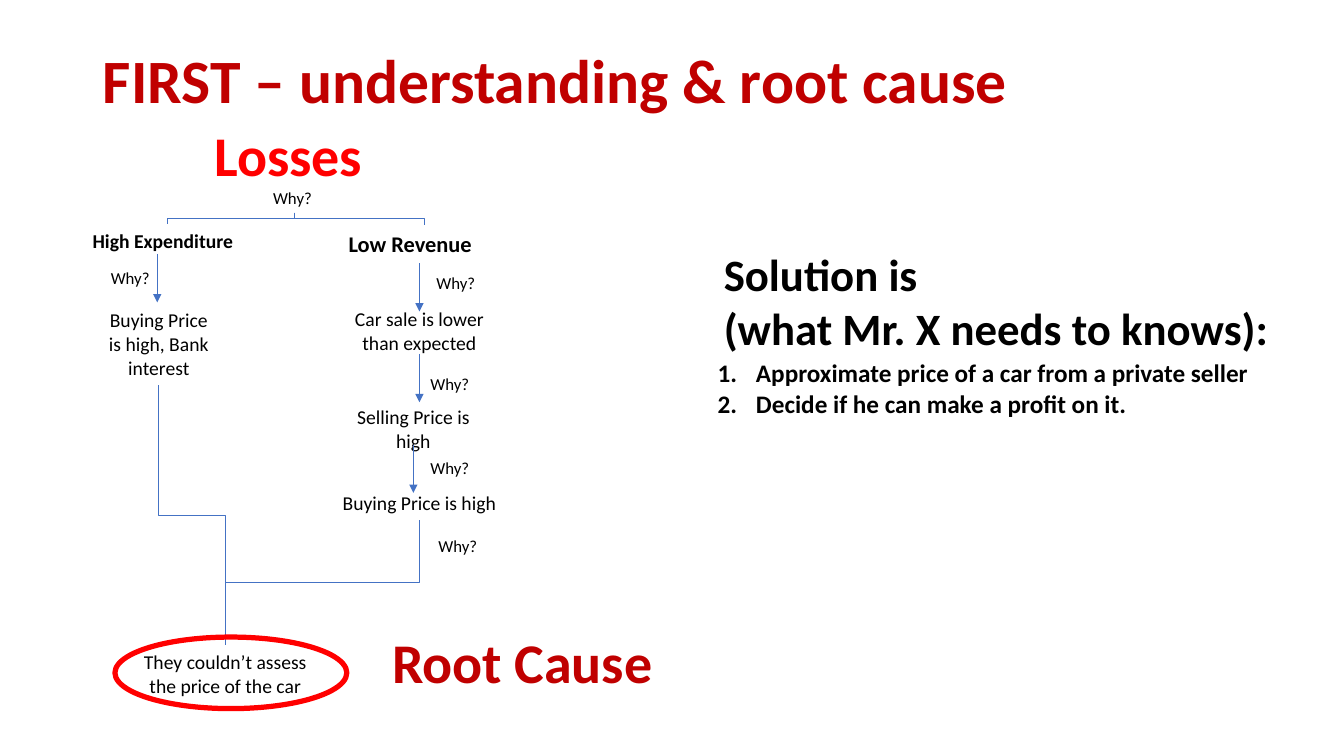
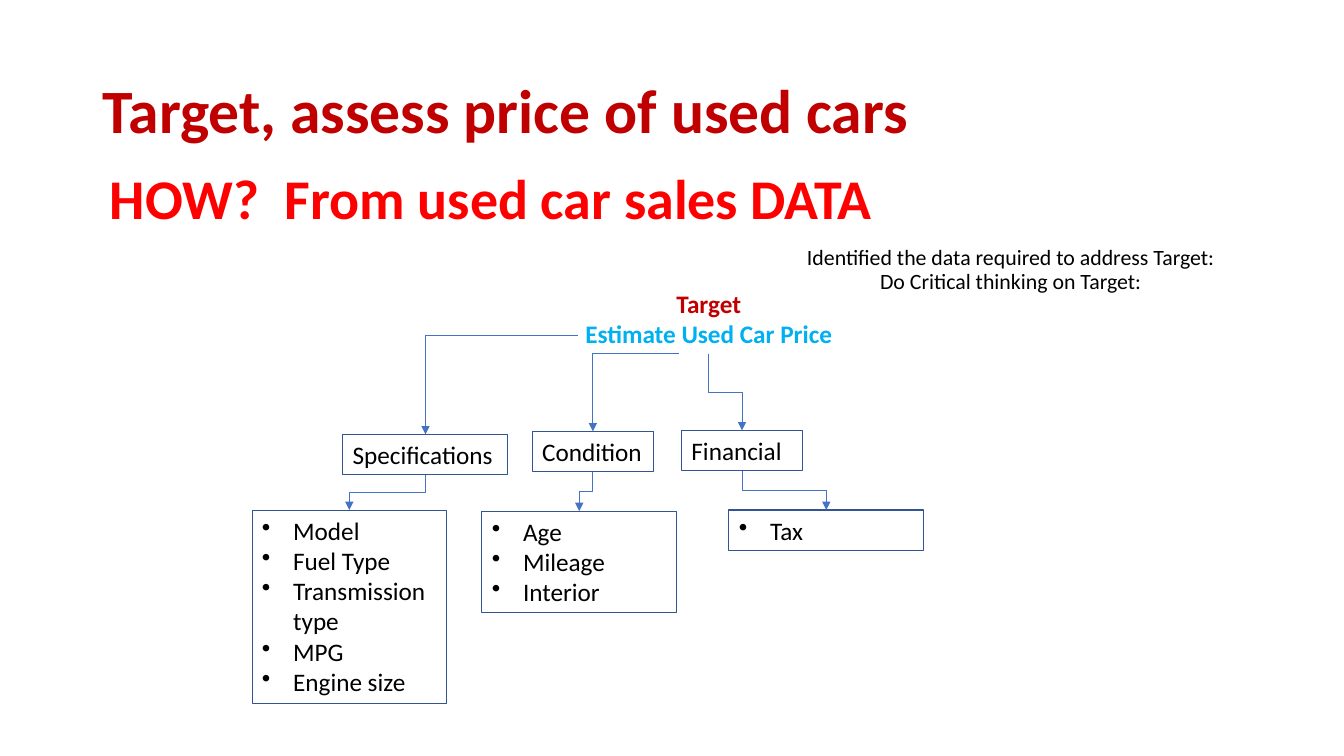
from dataclasses import dataclass
from typing import Optional

from lxml.etree import SubElement
from pptx import Presentation
from pptx.dml.color import RGBColor
from pptx.enum.shapes import MSO_CONNECTOR, MSO_SHAPE
from pptx.enum.text import MSO_ANCHOR, MSO_AUTO_SIZE, PP_ALIGN
from pptx.oxml.ns import qn
from pptx.util import Inches, Pt

FONT = "Calibri"
BLACK = RGBColor(0x00, 0x00, 0x00)
DARK_RED = RGBColor(0xC0, 0x00, 0x00)
RED = RGBColor(0xFF, 0x00, 0x00)
SKY = RGBColor(0x00, 0xB0, 0xF0)
BLUE = RGBColor(0x44, 0x72, 0xC4)
BORDER = RGBColor(0x32, 0x54, 0x91)

BULLET = ("a:buChar", "char", "•")
NUMBER = ("a:buAutoNum", "type", "arabicPeriod")
LEFT, CENTER = PP_ALIGN.LEFT, PP_ALIGN.CENTER


@dataclass(frozen=True)
class Label:
    lines: tuple[str, ...]
    left: float
    top: float
    width: float
    height: float
    size: float = 14
    bold: bool = False
    color: RGBColor = BLACK
    align: PP_ALIGN = CENTER
    marker: Optional[tuple[str, str, str]] = None
    indent: float = 0
    spacing: float = 1
    anchor: MSO_ANCHOR = MSO_ANCHOR.TOP


@dataclass(frozen=True)
class Branch:
    """A heading box with its list box below."""
    name: str
    left: float
    top: float
    width: float
    items: tuple[str, ...]
    items_left: float
    items_top: float
    items_height: float


TITLE_LEFT, TITLE_TOP, TITLE_WIDTH = 0.92, 0.4, 11.5
HEADING_HEIGHT, ITEMS_WIDTH = 0.4, 1.93

WHY_SPOTS = [(2.61, 1.81), (1, 2.61), (4.23, 2.66), (4.17, 3.66), (4.17, 4.49), (4.25, 5.27)]
CAUSE_LABELS = [
    Label(("Losses",), 1.16, 1.15, 3.4, 0.77, 40, True, RED),
    Label(("High Expenditure",), 0.82, 2.22, 1.69, 0.34, 14, True, align=LEFT),
    Label(("Low Revenue",), 3.36, 2.23, 1.7, 0.37, 16, True, align=LEFT),
    Label(("Buying Price is high, Bank interest",), 0.95, 3.01, 1.25, 0.81),
    Label(("Car sale is lower than expected",), 3.34, 3, 1.64, 0.57),
    Label(("Selling Price is high",), 3.28, 3.97, 1.64, 0.57),
    Label(("Buying Price is high",), 3.09, 4.82, 2.14, 0.34),
    Label(("They couldn’t assess the price of the car",), 1.27, 6.4, 1.93, 0.57),
    Label(("Root Cause",), 3.72, 6.18, 2.92, 0.77, 40, True, DARK_RED),
    Label(("Solution is", "(what Mr. X needs to knows):"),
          7.08, 2.4, 5.65, 1.18, 32, True, align=LEFT),
    Label(("Approximate price of a car from a private seller",
           "Decide if he can make a profit on it."),
          7.02, 3.5, 5.87, 0.71, 18, True, align=LEFT, marker=NUMBER, indent=0.38),
]
ARROW_LENGTH = 0.48
ARROW_STARTS = [(1.56, 2.52), (4.16, 2.61), (4.16, 3.51), (4.1, 4.41)]
CAUSE_ELBOWS = [
    (2.92, 2.11, 1.66, 2.22),
    (2.92, 2.11, 4.21, 2.23),
    (1.57, 3.82, 2.24, 6.4),
    (4.16, 5.16, 2.24, 6.4),
]

TARGET_LABELS = [
    Label(("HOW?  From used car sales DATA",), 0.99, 1.57, 10.38, 0.77, 40, True, RED, LEFT),
    Label(("Identified the data required to address Target:", "Do Critical thinking on Target:"),
          7.77, 2.04, 4.51, 1.29, 15.6, spacing=0.9, anchor=MSO_ANCHOR.MIDDLE),
    Label(("Target",), 5.41, 2.81, 3.24, 0.4, 18, True, DARK_RED),
    Label(("Estimate Used Car Price",), 5.41, 3.11, 3.24, 0.4, 18, True, SKY),
]
BRANCHES = [
    Branch("Specifications", 3.4, 4.31, 1.63,
           ("Model", "Fuel Type", "Transmission type", "MPG", "Engine size"), 2.5, 5.06, 1.92),
    Branch("Condition", 5.28, 4.28, 1.2, ("Age", "Mileage", "Interior"), 4.78, 5.07, 1.01),
    Branch("Financial", 6.76, 4.27, 1.2, ("Tax",), 7.23, 5.06, 0.4),
]


def add_span(para, text: str, size: float, bold: bool, color: RGBColor) -> None:
    span = para.add_run()
    span.text = text
    span.font.name = FONT
    span.font.size = Pt(size)
    span.font.bold = bold
    span.font.color.rgb = color


def add_page(deck, title: str, height: float):
    page = deck.slides.add_slide(deck.slide_layouts[5])
    box = page.shapes.title
    box.left, box.top = Inches(TITLE_LEFT), Inches(TITLE_TOP)
    box.width, box.height = Inches(TITLE_WIDTH), Inches(height)
    frame = box.text_frame
    frame.auto_size = MSO_AUTO_SIZE.NONE
    frame.vertical_anchor = MSO_ANCHOR.MIDDLE
    para = frame.paragraphs[0]
    para.alignment = LEFT
    para.line_spacing = 0.9
    add_span(para, title, 44, True, DARK_RED)
    return page


def add_outline(page, kind, left: float, top: float, width: float, height: float,
                color: RGBColor, weight: float):
    shape = page.shapes.add_shape(kind, Inches(left), Inches(top), Inches(width), Inches(height))
    shape.shadow.inherit = False
    shape.fill.background()
    shape.line.color.rgb = color
    shape.line.width = Pt(weight)
    return shape


def add_label(page, label: Label, boxed: bool = False) -> None:
    place = (label.left, label.top, label.width, label.height)
    if boxed:
        box = add_outline(page, MSO_SHAPE.RECTANGLE, *place, BORDER, 0.75)
    else:
        box = page.shapes.add_textbox(*map(Inches, place))
    frame = box.text_frame
    frame.word_wrap = True
    frame.vertical_anchor = label.anchor
    for index, line in enumerate(label.lines):
        para = frame.add_paragraph() if index else frame.paragraphs[0]
        para.alignment = label.align
        para.line_spacing = label.spacing
        if label.marker:
            tag, attribute, value = label.marker
            properties = para._p.get_or_add_pPr()
            properties.set("marL", str(Inches(label.indent)))
            properties.set("indent", str(-Inches(label.indent)))
            SubElement(properties, qn(tag)).set(attribute, value)
        add_span(para, line, label.size, label.bold, label.color)


def add_link(page, kind, left: float, top: float, right: float, bottom: float, arrow: bool):
    link = page.shapes.add_connector(kind, Inches(left), Inches(top), Inches(right), Inches(bottom))
    link.line.color.rgb = BLUE
    link.line.width = Pt(0.5)
    if arrow:
        SubElement(link.line._get_or_add_ln(), qn("a:tailEnd")).set("type", "triangle")
    SubElement(link._element.spPr, qn("a:effectLst"))
    return link


def add_drop_elbow(page, x1: float, y1: float, x2: float, y2: float, arrow: bool = False) -> None:
    """Go down, across and down: a sideways elbow turned about its centre."""
    length, breadth = y2 - y1, abs(x2 - x1)
    left, top = (x1 + x2 - length) / 2, (y1 + y2 - breadth) / 2
    link = add_link(page, MSO_CONNECTOR.ELBOW, left, top, left + length, top + breadth, arrow)
    frame = link._element.spPr.find(qn("a:xfrm"))
    if x2 < x1:
        frame.set("rot", str(90 * 60000))
    else:
        frame.set("rot", str(270 * 60000))
        frame.set("flipH", "1")


def add_corner(page, x1: float, y1: float, x2: float, y2: float) -> None:
    """Go left, then down, with one bend."""
    link = add_link(page, MSO_CONNECTOR.ELBOW, x2, y1, x1, y2, True)
    properties = link._element.spPr
    properties.find(qn("a:prstGeom")).set("prst", "bentConnector2")
    frame = properties.find(qn("a:xfrm"))
    frame.set("rot", str(180 * 60000))
    frame.set("flipV", "1")


def add_branch(page, branch: Branch) -> None:
    add_label(page, Label((branch.name,), branch.left, branch.top, branch.width,
                          HEADING_HEIGHT, 18, align=LEFT), boxed=True)
    add_label(page, Label(branch.items, branch.items_left, branch.items_top, ITEMS_WIDTH,
                          branch.items_height, 18, align=LEFT, marker=BULLET, indent=0.31),
              boxed=True)
    add_drop_elbow(page, branch.left + branch.width / 2, branch.top + HEADING_HEIGHT,
                   branch.items_left + ITEMS_WIDTH / 2, branch.items_top, arrow=True)


def build_cause_page(deck) -> None:
    page = add_page(deck, "FIRST – understanding & root cause", 0.85)
    for label in CAUSE_LABELS:
        add_label(page, label)
    for left, top in WHY_SPOTS:
        add_label(page, Label(("Why?",), left, top, 0.62, 0.3, 12, align=LEFT))
    for x, y in ARROW_STARTS:
        add_link(page, MSO_CONNECTOR.STRAIGHT, x, y, x, y + ARROW_LENGTH, True)
    for elbow in CAUSE_ELBOWS:
        add_drop_elbow(page, *elbow)
    add_outline(page, MSO_SHAPE.OVAL, 1.14, 6.32, 2.3, 0.71, RED, 3.75)


def build_target_page(deck) -> None:
    page = add_page(deck, "Target, assess price of used cars", 1.45)
    for label in TARGET_LABELS:
        add_label(page, label)
    for branch in BRANCHES:
        add_branch(page, branch)
    add_corner(page, 5.73, 3.33, 4.22, 4.31)
    add_corner(page, 6.73, 3.51, 5.88, 4.28)
    add_drop_elbow(page, 7.03, 3.51, 7.36, 4.27, arrow=True)


def main() -> None:
    deck = Presentation()
    deck.slide_width, deck.slide_height = Inches(13.33), Inches(7.5)
    build_cause_page(deck)
    build_target_page(deck)
    deck.save("out.pptx")


if __name__ == "__main__":
    main()
